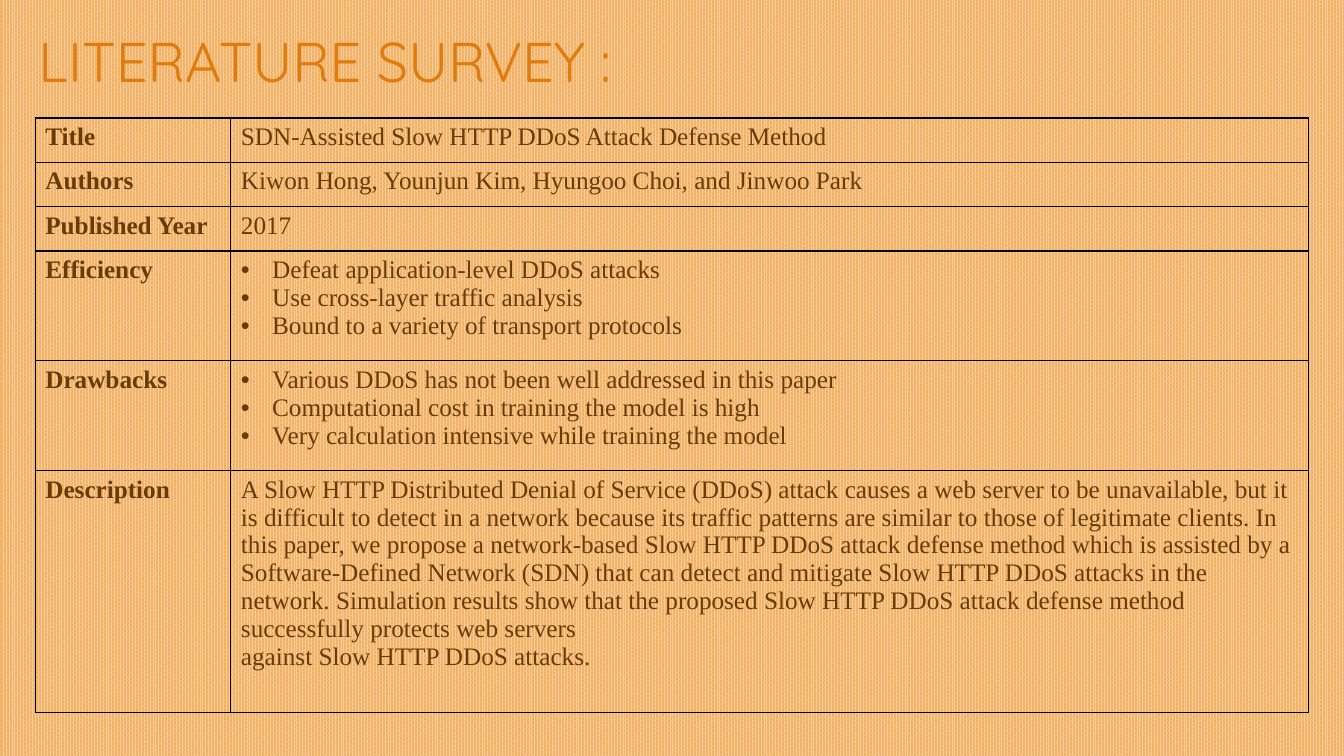
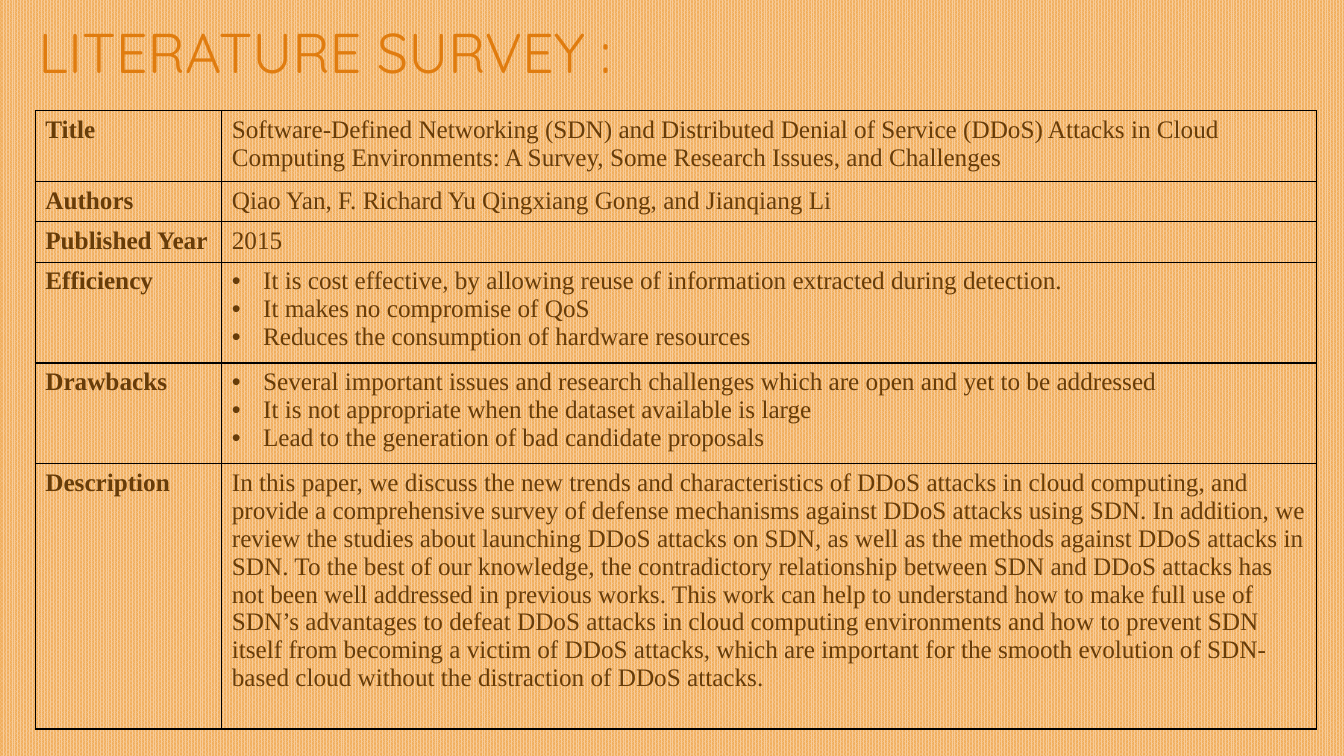
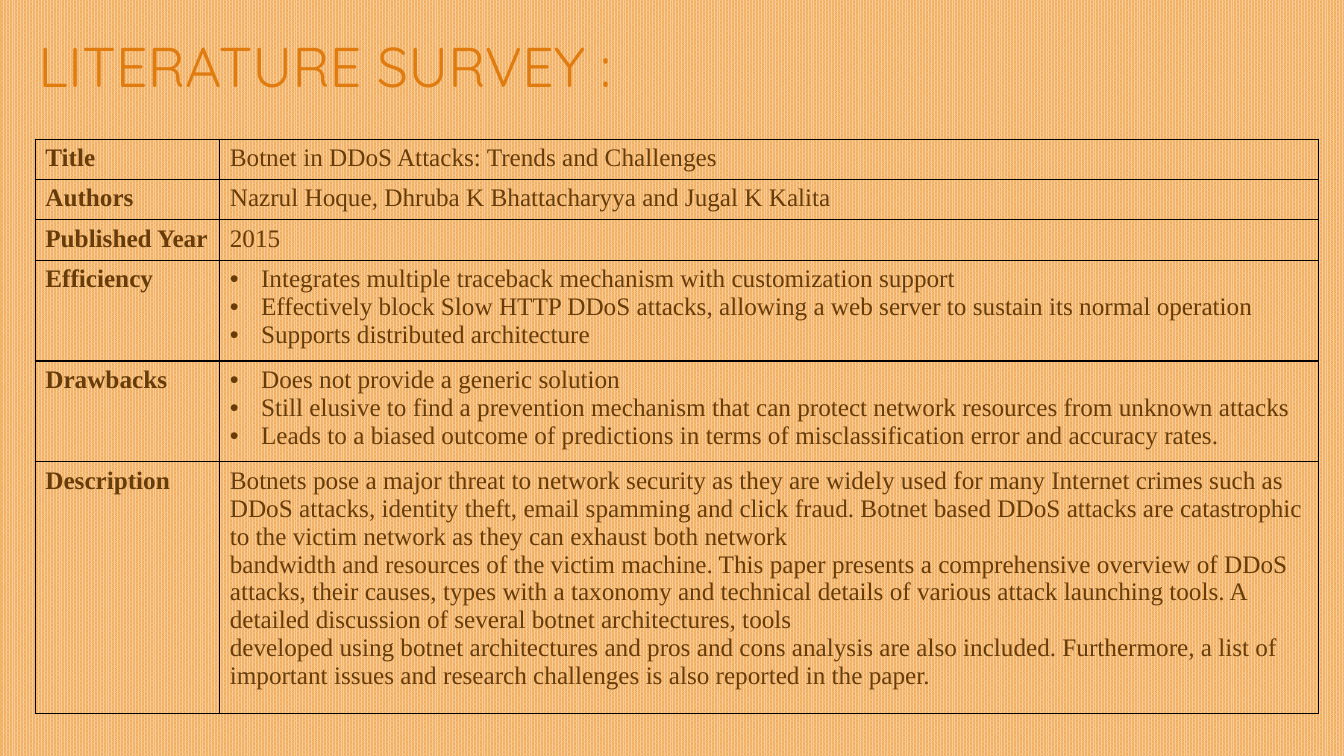
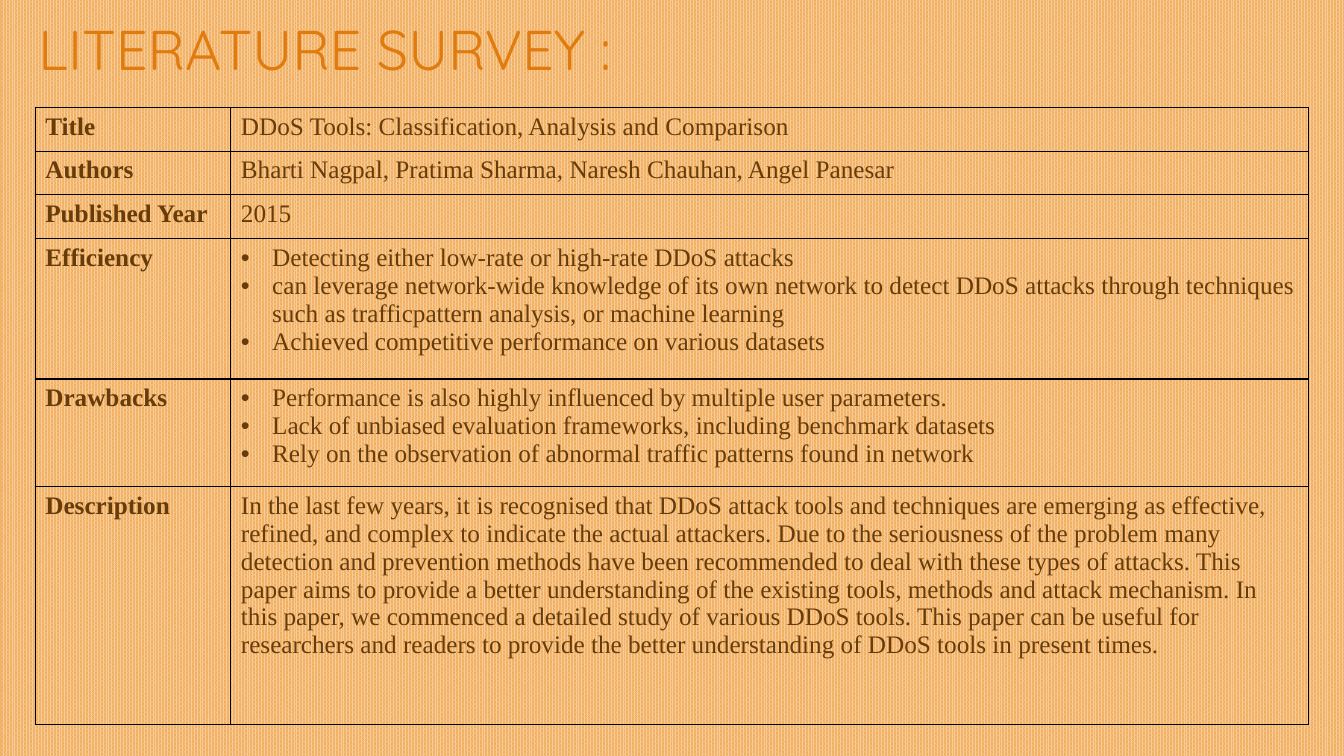
from lxml import etree
from pptx import Presentation
from pptx import util as u
from pptx.dml.color import RGBColor
from pptx.enum import dml, text
from pptx.oxml.ns import qn

# Shared style
HEAD = "LITERATURE SURVEY :"
HEAD_FONT, BODY_FONT = "Quicksand", "Times New Roman"
ORANGE, BROWN, BLACK = "E07C0F", "673C09", "000000"
LIGHT, DEEP = "F7CC9A", "F1AE5C"
LABELS = ["Title", "Authors", "Published Year", "Efficiency", "Drawbacks", "Description"]
LISTED = {"Efficiency", "Drawbacks"}
WIDE, LEFT, FLOOR, HANG = 13.42, 0.35, 7.43, 0.31

# One paper per slide: title top, table top, column widths, row heights,
# then for each label its paragraphs
PAPERS = [
    dict(head=0.29, top=1.17, cols=[1.94, 10.69],
         rows=[0.44, 0.44, 0.44, 1.09, 1.09, 2.4], cells=[
        ["SDN-Assisted Slow HTTP DDoS Attack Defense Method"],
        ["Kiwon Hong, Younjun Kim, Hyungoo Choi, and Jinwoo Park"],
        ["2017"],
        ["Defeat application-level DDoS attacks",
         "Use cross-layer traffic analysis",
         "Bound to a variety of transport protocols"],
        ["Various DDoS has not been well addressed in this paper",
         "Computational cost in training the model is high",
         "Very calculation intensive while training the model"],
        ["A Slow HTTP Distributed Denial of Service (DDoS) attack causes a web server to be "
         "unavailable, but it is difficult to detect in a network because its traffic patterns "
         "are similar to those of legitimate clients. In this paper, we propose a network-based "
         "Slow HTTP DDoS attack defense method which is assisted by a Software-Defined Network "
         "(SDN) that can detect and mitigate Slow HTTP DDoS attacks in the network. Simulation "
         "results show that the proposed Slow HTTP DDoS attack defense method successfully "
         "protects web servers",
         "against Slow HTTP DDoS attacks."],
    ]),
    dict(head=0.2, top=1.1, cols=[1.85, 10.86],
         rows=[0.69, 0.4, 0.4, 0.98, 0.98, 2.63], cells=[
        ["Software-Defined Networking (SDN) and Distributed Denial of Service (DDoS) Attacks in "
         "Cloud Computing Environments: A Survey, Some Research Issues, and Challenges"],
        ["Qiao Yan, F. Richard Yu Qingxiang Gong, and Jianqiang Li"],
        ["2015"],
        ["It is cost effective, by allowing reuse of information extracted during detection.",
         "It makes no compromise of QoS",
         "Reduces the consumption of hardware resources"],
        ["Several important issues and research challenges which are open and yet to be addressed",
         "It is not appropriate when the dataset available is large",
         "Lead to the generation of bad candidate proposals"],
        ["In this paper, we discuss the new trends and characteristics of DDoS attacks in cloud "
         "computing, and provide a comprehensive survey of defense mechanisms against DDoS "
         "attacks using SDN. In addition, we review the studies about launching DDoS attacks on "
         "SDN, as well as the methods against DDoS attacks in SDN. To the best of our knowledge, "
         "the contradictory relationship between SDN and DDoS attacks has not been well addressed "
         "in previous works. This work can help to understand how to make full use of SDN’s "
         "advantages to defeat DDoS attacks in cloud computing environments and how to prevent "
         "SDN itself from becoming a victim of DDoS attacks, which are important for the smooth "
         "evolution of SDN-based cloud without the distraction of DDoS attacks."],
    ]),
    dict(head=0.34, top=1.38, cols=[1.83, 10.9],
         rows=[0.36, 0.36, 0.36, 0.91, 0.91, 2.27], cells=[
        ["Botnet in DDoS Attacks: Trends and Challenges"],
        ["Nazrul Hoque, Dhruba K Bhattacharyya and Jugal K Kalita"],
        ["2015"],
        ["Integrates multiple traceback mechanism with customization support",
         "Effectively block Slow HTTP DDoS attacks, allowing a web server to sustain its normal "
         "operation",
         "Supports distributed architecture"],
        ["Does not provide a generic solution",
         "Still elusive to find a prevention mechanism that can protect network resources from "
         "unknown attacks",
         "Leads to a biased outcome of predictions in terms of misclassification error and "
         "accuracy rates."],
        ["Botnets pose a major threat to network security as they are widely used for many "
         "Internet crimes such as DDoS attacks, identity theft, email spamming and click fraud. "
         "Botnet based DDoS attacks are catastrophic to the victim network as they can exhaust "
         "both network",
         "bandwidth and resources of the victim machine. This paper presents a comprehensive "
         "overview of DDoS attacks, their causes, types with a taxonomy and technical details of "
         "various attack launching tools. A detailed discussion of several botnet architectures, "
         "tools",
         "developed using botnet architectures and pros and cons analysis are also included. "
         "Furthermore, a list of important issues and research challenges is also reported in "
         "the paper."],
    ]),
    dict(head=0.17, top=1.07, cols=[1.94, 10.69],
         rows=[0.43, 0.43, 0.44, 1.39, 1.07, 2.36], cells=[
        ["DDoS Tools: Classification, Analysis and Comparison"],
        ["Bharti Nagpal, Pratima Sharma, Naresh Chauhan, Angel Panesar"],
        ["2015"],
        ["Detecting either low-rate or high-rate DDoS attacks",
         "can leverage network-wide knowledge of its own network to detect DDoS attacks through "
         "techniques such as trafficpattern analysis, or machine learning",
         "Achieved competitive performance on various datasets"],
        ["Performance is also highly influenced by multiple user parameters.",
         "Lack of unbiased evaluation frameworks, including benchmark datasets",
         "Rely on the observation of abnormal traffic patterns found in network"],
        ["In the last few years, it is recognised that DDoS attack tools and techniques are "
         "emerging as effective, refined, and complex to indicate the actual attackers. Due to "
         "the seriousness of the problem many detection and prevention methods have been "
         "recommended to deal with these types of attacks. This paper aims to provide a better "
         "understanding of the existing tools, methods and attack mechanism. In this paper, we "
         "commenced a detailed study of various DDoS tools. This paper can be useful for "
         "researchers and readers to provide the better understanding of DDoS tools in present "
         "times."],
    ]),
]


def color(code):
    return RGBColor.from_string(code)


def add_run(para, words, face, size, code, bold=False):
    run = para.add_run()
    run.text = words
    font = run.font
    font.name, font.size, font.bold = face, u.Pt(size), bold
    font.color.rgb = color(code)


def add_bullet(para):
    props = para._p.get_or_add_pPr()
    props.set("marL", str(u.Inches(HANG)))
    props.set("indent", str(-u.Inches(HANG)))
    etree.SubElement(props, qn("a:buFont")).set("typeface", "Arial")
    etree.SubElement(props, qn("a:buChar")).set("char", "•")


def add_grid(cell):
    props = cell._tc.get_or_add_tcPr()
    for side in ("lnL", "lnR", "lnT", "lnB"):
        line = etree.SubElement(props, qn("a:" + side), w=str(u.Pt(1)))
        fill = etree.SubElement(line, qn("a:solidFill"))
        etree.SubElement(fill, qn("a:srgbClr"), val=BLACK)


def fill_cell(cell, paras, bold=False, listed=False):
    add_grid(cell)
    cell.fill.background()
    frame = cell.text_frame
    for i, words in enumerate(paras):
        para = frame.add_paragraph() if i else frame.paragraphs[0]
        if listed:
            add_bullet(para)
        add_run(para, words, BODY_FONT, 18, BROWN, bold)


def add_title(slide, top):
    box = slide.shapes.add_textbox(0, u.Inches(top), u.Inches(WIDE), u.Inches(FLOOR - top))
    frame = box.text_frame
    frame.word_wrap = True
    frame.vertical_anchor = text.MSO_ANCHOR.TOP
    frame.margin_left = u.Inches(0.38)
    para = frame.paragraphs[0]
    para.line_spacing = 0.9
    add_run(para, HEAD, HEAD_FONT, 40, ORANGE)


def add_paper(slide, paper):
    cols, rows = paper["cols"], paper["rows"]
    table = slide.shapes.add_table(
        len(rows), len(cols), u.Inches(LEFT), u.Inches(paper["top"]),
        u.Inches(sum(cols)), u.Inches(sum(rows))).table
    table.first_row = table.horz_banding = False
    for col, wide in zip(table.columns, cols):
        col.width = u.Inches(wide)
    for row, high, label, paras in zip(table.rows, rows, LABELS, paper["cells"]):
        row.height = u.Inches(high)
        fill_cell(row.cells[0], [label], bold=True)
        fill_cell(row.cells[1], paras, listed=label in LISTED)


def main():
    prs = Presentation()
    prs.slide_width, prs.slide_height = u.Inches(13.33), u.Inches(7.5)

    # Patterned background on the master, shared by all slides
    fill = prs.slide_master.background.fill
    fill.patterned()
    fill.pattern = dml.MSO_PATTERN.PERCENT_80
    fill.fore_color.rgb, fill.back_color.rgb = color(LIGHT), color(DEEP)

    for paper in PAPERS:
        slide = prs.slides.add_slide(prs.slide_layouts[6])
        add_title(slide, paper["head"])
        add_paper(slide, paper)
    prs.save("out.pptx")


if __name__ == "__main__":
    main()
